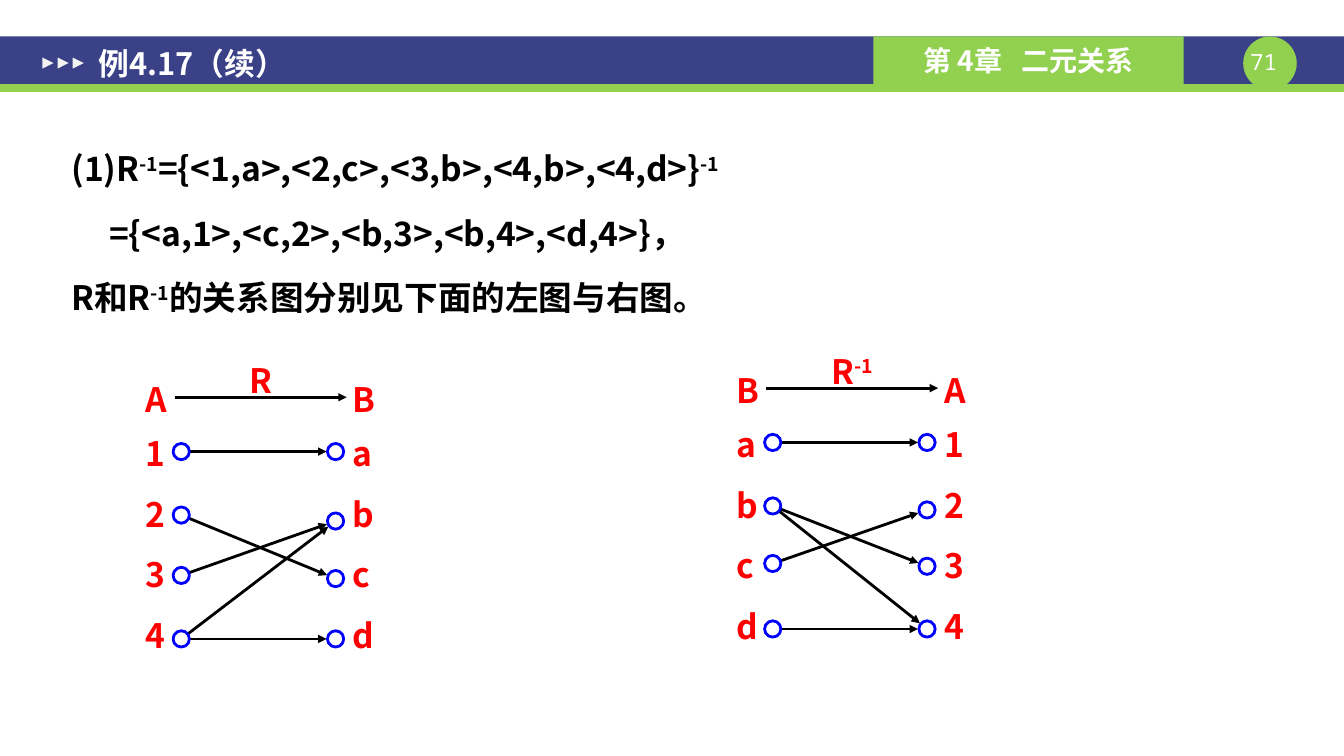
import math

import lxml.etree
import pptx
import pptx.dml.color
import pptx.enum.shapes
import pptx.enum.text
import pptx.oxml.ns
import pptx.util

Cm = pptx.util.Cm
Pt = pptx.util.Pt
RGBColor = pptx.dml.color.RGBColor
SHAPE = pptx.enum.shapes.MSO_SHAPE
ALIGN = pptx.enum.text.PP_ALIGN
ANCHOR = pptx.enum.text.MSO_ANCHOR
qn = pptx.oxml.ns.qn

NAVY = RGBColor(0x3A, 0x41, 0x87)
GREEN = RGBColor(0x92, 0xD0, 0x50)
PALE = RGBColor(0xF2, 0xF2, 0xF2)
WHITE = RGBColor(0xFF, 0xFF, 0xFF)
BLACK = RGBColor(0, 0, 0)
RED = RGBColor(0xFF, 0, 0)
BLUE = RGBColor(0, 0, 0xFF)
SANS = "Noto Sans CJK SC"
MONO = "Noto Sans Mono"

LABEL_ROWS = (1.37, 2.9, 4.42, 5.95)
LABEL_WIDTH, LABEL_HEIGHT = 0.6, 1.02
START_X, END_X, END_LABEL_X = 0.91, 4.8, 5.23
NODE_SIZE = 0.41
ARROW_GAP = 0.23


def add_block(slide, kind, left, top, width, height, fill, outline=None):
    block = slide.shapes.add_shape(kind, Cm(left), Cm(top), Cm(width), Cm(height))
    block.shadow.inherit = False
    block.fill.solid()
    block.fill.fore_color.rgb = fill
    if outline is None:
        block.line.fill.background()
    else:
        block.line.color.rgb = outline
        block.line.width = Pt(2)
    return block


def add_box(slide, left, top, width, height):
    return slide.shapes.add_textbox(Cm(left), Cm(top), Cm(width), Cm(height))


def set_frame(holder, inset_x=0, inset_y=0, anchor=ANCHOR.TOP):
    frame = holder.text_frame
    frame.word_wrap = True
    frame.vertical_anchor = anchor
    frame.margin_left = frame.margin_right = Cm(inset_x)
    frame.margin_top = frame.margin_bottom = Cm(inset_y)
    return frame


def add_run(paragraph, text, size, color, font=SANS, bold=True, raised=False, tracking=0):
    run = paragraph.add_run()
    run.text = text
    run.font.size = Pt(size)
    run.font.bold = bold
    run.font.color.rgb = color
    run.font.name = font
    properties = run.font._element
    lxml.etree.SubElement(properties, qn("a:ea")).set("typeface", font)
    if raised:
        properties.set("baseline", "30000")
    if tracking:
        properties.set("spc", str(tracking))


def add_formula(paragraph, pieces, color):
    for position, piece in enumerate(pieces):
        add_run(paragraph, piece, 24, color, raised=position % 2 == 1)


def add_label(holder, pieces, align=ALIGN.LEFT):
    paragraph = set_frame(holder).paragraphs[0]
    paragraph.alignment = align
    paragraph.line_spacing = Pt(30)
    add_formula(paragraph, pieces, RED)


def add_arrow(slide, start, end):
    arrow = slide.shapes.add_connector(
        pptx.enum.shapes.MSO_CONNECTOR.STRAIGHT, *(Cm(value) for value in (*start, *end)))
    arrow.line.color.rgb = BLACK
    arrow.line.width = Pt(2)
    properties = arrow._element.spPr
    lxml.etree.SubElement(properties.find(qn("a:ln")), qn("a:tailEnd")).set("type", "triangle")
    lxml.etree.SubElement(properties, qn("a:effectLst"))


def add_relation_graph(slide, left, top, name, name_width, sets, labels, node_rows, pairs):
    name_plate = add_block(slide, SHAPE.RECTANGLE, left + 2.91 - name_width / 2, top - 0.48,
                           name_width, LABEL_HEIGHT, WHITE)
    add_label(name_plate, name, ALIGN.CENTER)
    add_arrow(slide, (left + 0.74, top + 0.51), (left + 5.08, top + 0.51))

    for x, heading, members in zip((0, END_LABEL_X), sets, labels):
        for y, text in zip((0, *LABEL_ROWS), heading + members):
            add_label(add_box(slide, left + x, top + y, LABEL_WIDTH, LABEL_HEIGHT), [text])

    nodes = [{member: (left + x, top + y) for member, y in zip(members, rows)}
             for x, members, rows in zip((START_X, END_X), labels, node_rows)]
    for source, target in pairs:
        start, end = nodes[0][source], nodes[1][target]
        share = 1 - ARROW_GAP / math.dist(start, end)
        tip = [a + (b - a) * share for a, b in zip(start, end)]
        add_arrow(slide, start, tip)
    for side in nodes:
        for x, y in side.values():
            add_block(slide, SHAPE.OVAL, x - NODE_SIZE / 2, y - NODE_SIZE / 2,
                      NODE_SIZE, NODE_SIZE, WHITE, BLUE)


def add_header(slide):
    add_block(slide, SHAPE.RECTANGLE, 0, 0.92, 33.88, 1.2, NAVY)
    add_block(slide, SHAPE.RECTANGLE, 0, 2.12, 33.88, 0.2, GREEN)
    add_block(slide, SHAPE.OVAL, 31.34, 0.92, 1.35, 1.35, GREEN)
    page_number = set_frame(add_box(slide, 31.18, 1.22, 1.35, 0.69)).paragraphs[0]
    page_number.alignment = ALIGN.CENTER
    add_run(page_number, "71", 16, WHITE, MONO, bold=False)

    chapter_plate = add_block(slide, SHAPE.RECTANGLE, 22.02, 0.92, 7.82, 1.2, GREEN)
    chapter = set_frame(chapter_plate, 0.25, 0.13, ANCHOR.MIDDLE).paragraphs[0]
    chapter.alignment = ALIGN.CENTER
    add_run(chapter, "第 4章", 20, WHITE)
    add_run(chapter, " ", 20, WHITE, tracking=900)
    add_run(chapter, "二元关系", 20, WHITE)

    for index in range(3):
        marker = add_block(slide, SHAPE.ISOSCELES_TRIANGLE, 1.07 + 0.38 * index, 1.45,
                           0.28, 0.28, PALE)
        marker.rotation = 90
    title = set_frame(add_box(slide, 2.16, 0.99, 14.81, 1.19), 0.33, 0.18, ANCHOR.MIDDLE)
    add_run(title.paragraphs[0], "例4.17（续）", 22, WHITE)


def add_solution(slide):
    lines = (
        (0, ["(1)R", "-1", "={<1,a>,<2,c>,<3,b>,<4,b>,<4,d>}", "-1"]),
        (0.95, ["={<a,1>,<c,2>,<b,3>,<b,4>,<d,4>}，"]),
        (0, ["R和R", "-1", "的关系图分别见下面的左图与右图。"]),
    )
    frame = set_frame(add_box(slide, 1.47, 3.02, 30.91, 5.87), 0.33, 0.18)
    for index, (indent, pieces) in enumerate(lines):
        paragraph = frame.add_paragraph() if index else frame.paragraphs[0]
        paragraph.line_spacing = Pt(44)
        if index:
            paragraph.space_before = Pt(2)
        if indent:
            paragraph._p.get_or_add_pPr().set("indent", str(Cm(indent)))
        add_formula(paragraph, pieces, BLACK)


def main():
    presentation = pptx.Presentation()
    presentation.slide_width = Cm(33.88)
    presentation.slide_height = Cm(19.05)
    slide = presentation.slides.add_slide(presentation.slide_layouts[6])
    add_header(slide)
    add_solution(slide)

    relation = ("1a", "2c", "3b", "4b", "4d")
    inverse = [target + source for source, target in relation]
    add_relation_graph(slide, 3.66, 9.5, ["R"], 0.6, "AB", ("1234", "abcd"),
                       ((1.88, 3.48, 5, 6.6), (1.88, 3.63, 5.08, 6.6)), relation)
    add_relation_graph(slide, 18.57, 9.27, ["R", "-1"], 1.63, "BA", ("abcd", "1234"),
                       ((1.88, 3.48, 4.93, 6.58), (1.88, 3.58, 5, 6.58)), inverse)
    presentation.save("out.pptx")


if __name__ == "__main__":
    main()
